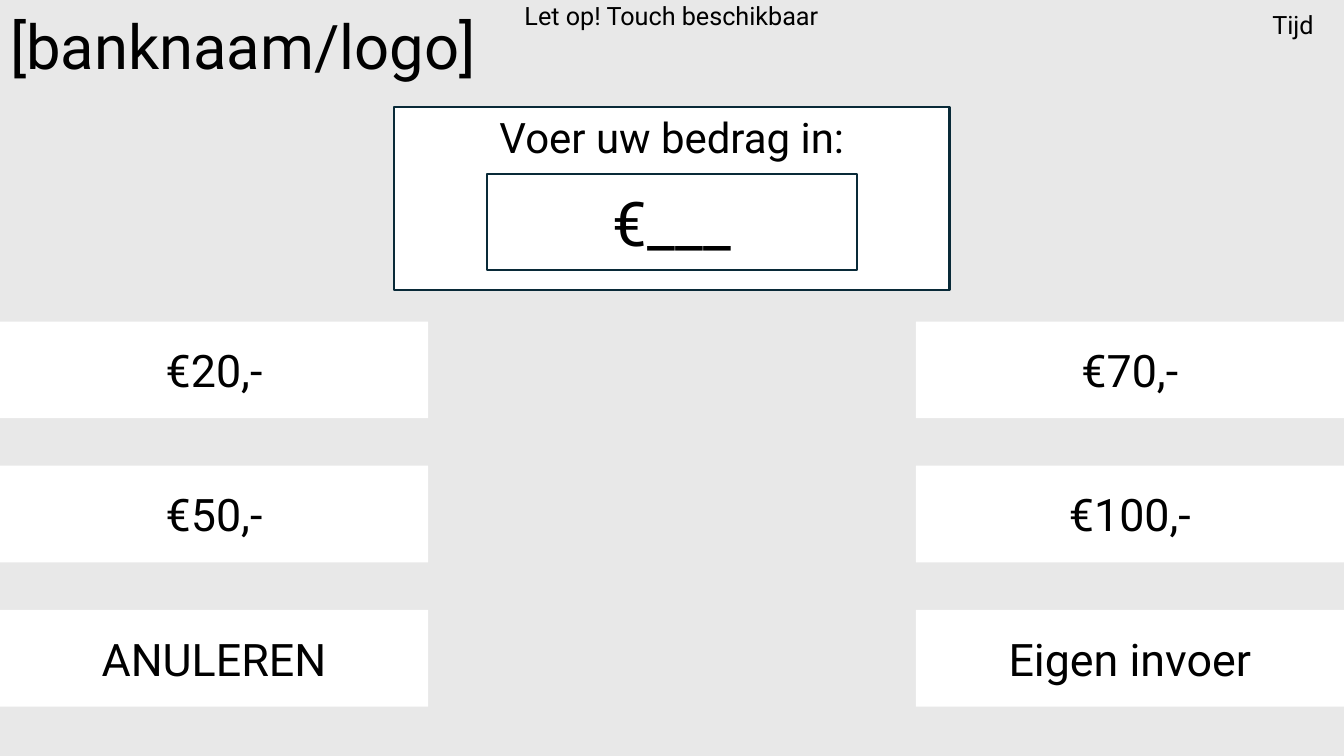
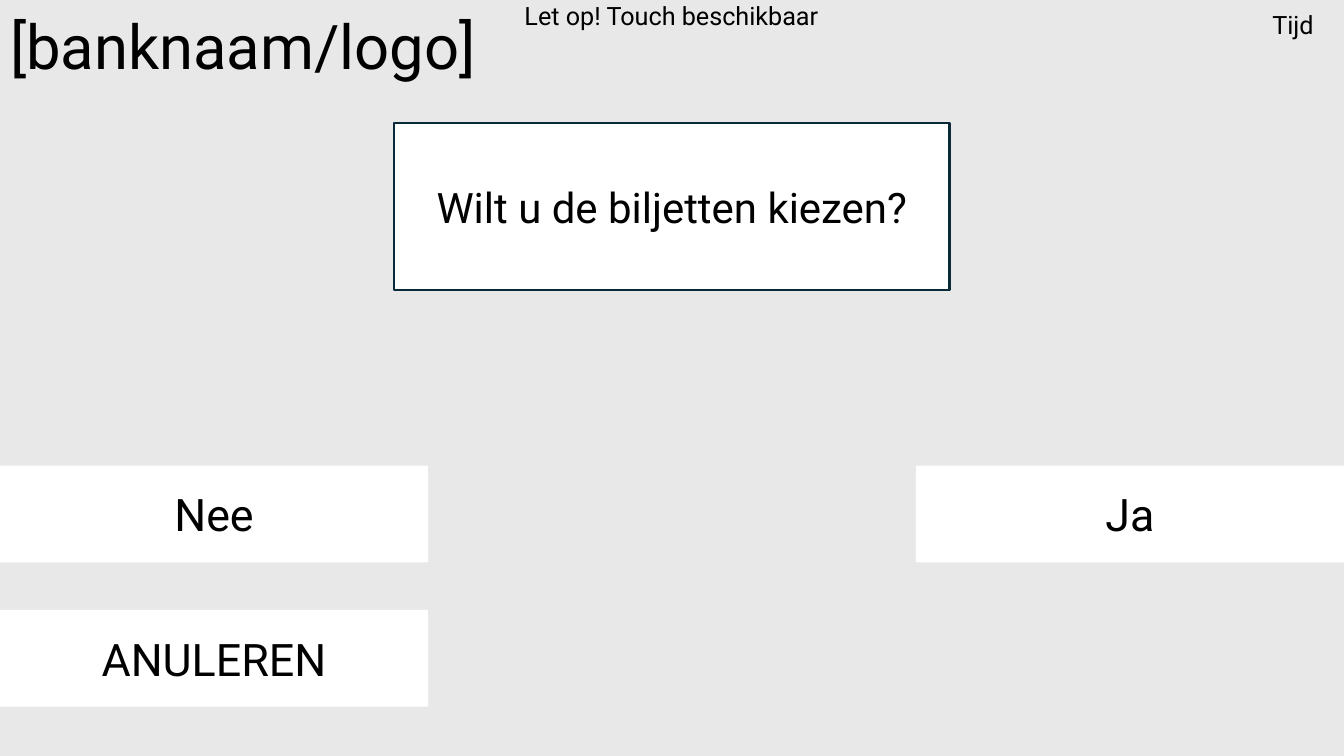
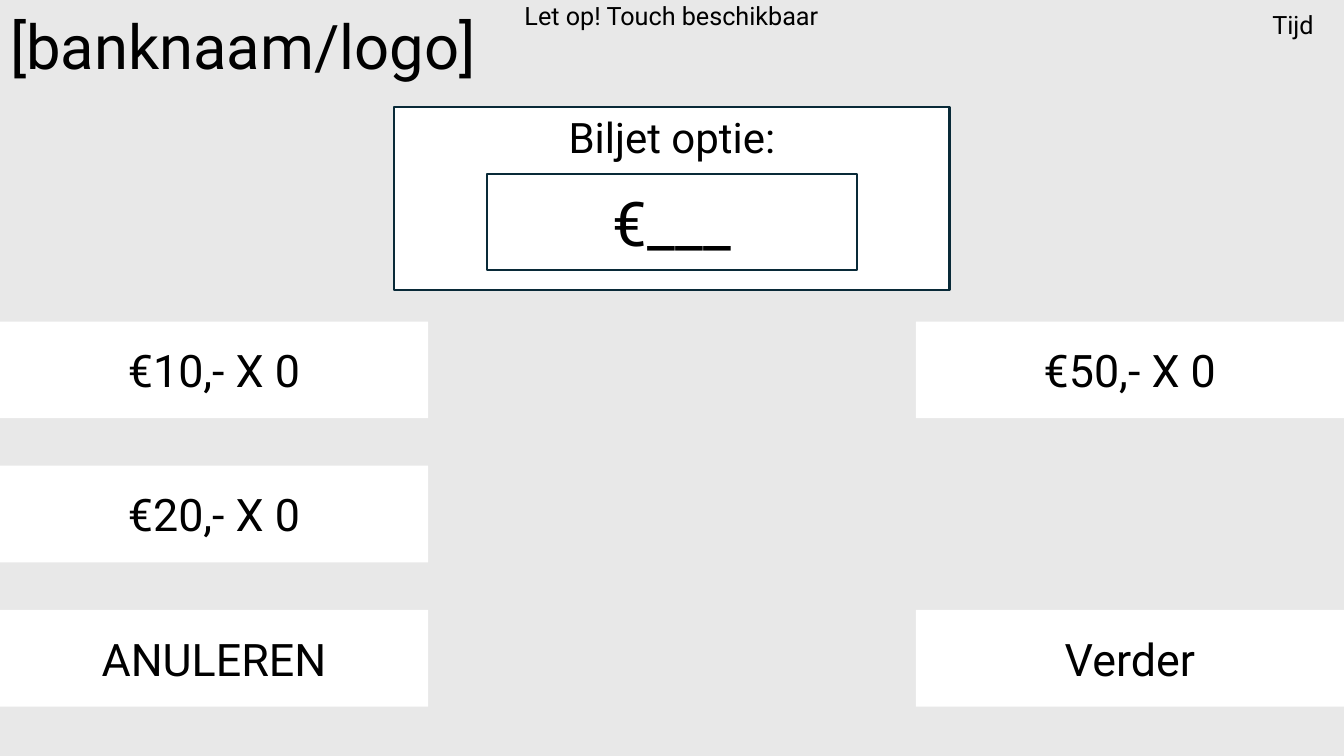
"""Build three cash machine screens: amount, note choice and note options."""
from dataclasses import dataclass

from pptx import Presentation
from pptx.dml.color import RGBColor
from pptx.enum.shapes import MSO_SHAPE
from pptx.enum.text import MSO_ANCHOR, MSO_AUTO_SIZE, PP_ALIGN
from pptx.util import Inches, Pt


@dataclass(frozen=True)
class Theme:
    font: str = "Roboto"
    background: RGBColor = RGBColor(0xE8, 0xE8, 0xE8)
    panel: RGBColor = RGBColor(0xFF, 0xFF, 0xFF)
    outline: RGBColor = RGBColor(0x09, 0x2A, 0x38)
    text: RGBColor = RGBColor(0, 0, 0)
    outline_width: float = 1.5
    large: int = 44
    button: int = 32
    prompt: int = 30
    small: int = 18


THEME = Theme()
WIDTH, HEIGHT = 13.34, 7.5
BUTTON_WIDTH, BUTTON_HEIGHT = 4.25, 0.96
FIRST_ROW, ROW_STEP = 3.19, 1.43
PROMPT_WIDTH, PROMPT_BOTTOM = 5.51, 2.88
FIELD_WIDTH, FIELD_HEIGHT, FIELD_TOP = 3.67, 0.95, 1.73

TITLE = "[banknaam/logo]"
STATUS = [
    ("Tijd ", (12.4, 0, 0.93, 0.49)),
    ("Let op! Touch beschikbaar", (4.24, 0.01, 4.85, 0.28)),
]
SCREENS = [
    {
        "prompt": "Voer uw bedrag in:",
        "field": "€___",
        "rows": [("€20,-", "€70,-"), ("€50,-", "€100,-"), ("ANULEREN", "Eigen invoer")],
    },
    {
        "prompt": "Wilt u de biljetten kiezen?",
        "field": None,
        "rows": [(None, None), ("Nee", "Ja"), ("ANULEREN", None)],
    },
    {
        "prompt": "Biljet optie:",
        "field": "€___",
        "rows": [("€10,- X 0", "€50,- X 0"), ("€20,- X 0", None), ("ANULEREN", "Verder")],
    },
]


def write(box, text, size, align=PP_ALIGN.CENTER, anchor=MSO_ANCHOR.MIDDLE):
    frame = box.text_frame
    frame.text = text
    frame.word_wrap = True
    frame.auto_size = MSO_AUTO_SIZE.NONE
    frame.vertical_anchor = anchor
    para = frame.paragraphs[0]
    para.alignment = align
    font = para.runs[0].font
    font.name, font.size = THEME.font, Pt(size)
    font.color.rgb = THEME.text


def add_panel(page, area, text, size, outlined=False, anchor=MSO_ANCHOR.MIDDLE):
    panel = page.shapes.add_shape(MSO_SHAPE.RECTANGLE, *map(Inches, area))
    panel.shadow.inherit = False
    panel.fill.solid()
    panel.fill.fore_color.rgb = THEME.panel
    if outlined:
        panel.line.color.rgb = THEME.outline
        panel.line.width = Pt(THEME.outline_width)
    else:
        panel.line.fill.background()
    write(panel, text, size, anchor=anchor)


def add_header(page):
    title = page.shapes.title
    title.left, title.top, title.width, title.height = map(Inches, (0, -0.23, WIDTH, 1.45))
    write(title, TITLE, THEME.large, PP_ALIGN.LEFT)
    title.text_frame.paragraphs[0].line_spacing = 0.9
    for text, area in STATUS:
        write(page.shapes.add_textbox(*map(Inches, area)), text, THEME.small)


def add_buttons(page, rows):
    for row, labels in enumerate(rows):
        top = FIRST_ROW + row * ROW_STEP
        for left, label in zip((0, WIDTH - BUTTON_WIDTH), labels):
            if label:
                add_panel(page, (left, top, BUTTON_WIDTH, BUTTON_HEIGHT), label, THEME.button)


def add_prompt(page, prompt, field):
    top = 1.06 if field else 1.22
    anchor = MSO_ANCHOR.TOP if field else MSO_ANCHOR.MIDDLE
    area = ((WIDTH - PROMPT_WIDTH) / 2, top, PROMPT_WIDTH, PROMPT_BOTTOM - top)
    add_panel(page, area, prompt, THEME.prompt, True, anchor)
    if field:
        area = ((WIDTH - FIELD_WIDTH) / 2, FIELD_TOP, FIELD_WIDTH, FIELD_HEIGHT)
        add_panel(page, area, field, THEME.large, True)


def main():
    deck = Presentation()
    deck.slide_width, deck.slide_height = Inches(WIDTH), Inches(HEIGHT)
    fill = deck.slide_master.background.fill
    fill.solid()
    fill.fore_color.rgb = THEME.background
    for screen in SCREENS:
        page = deck.slides.add_slide(deck.slide_layouts.get_by_name("Title Only"))
        add_header(page)
        add_buttons(page, screen["rows"])
        add_prompt(page, screen["prompt"], screen["field"])
    deck.save("out.pptx")


if __name__ == "__main__":
    main()
